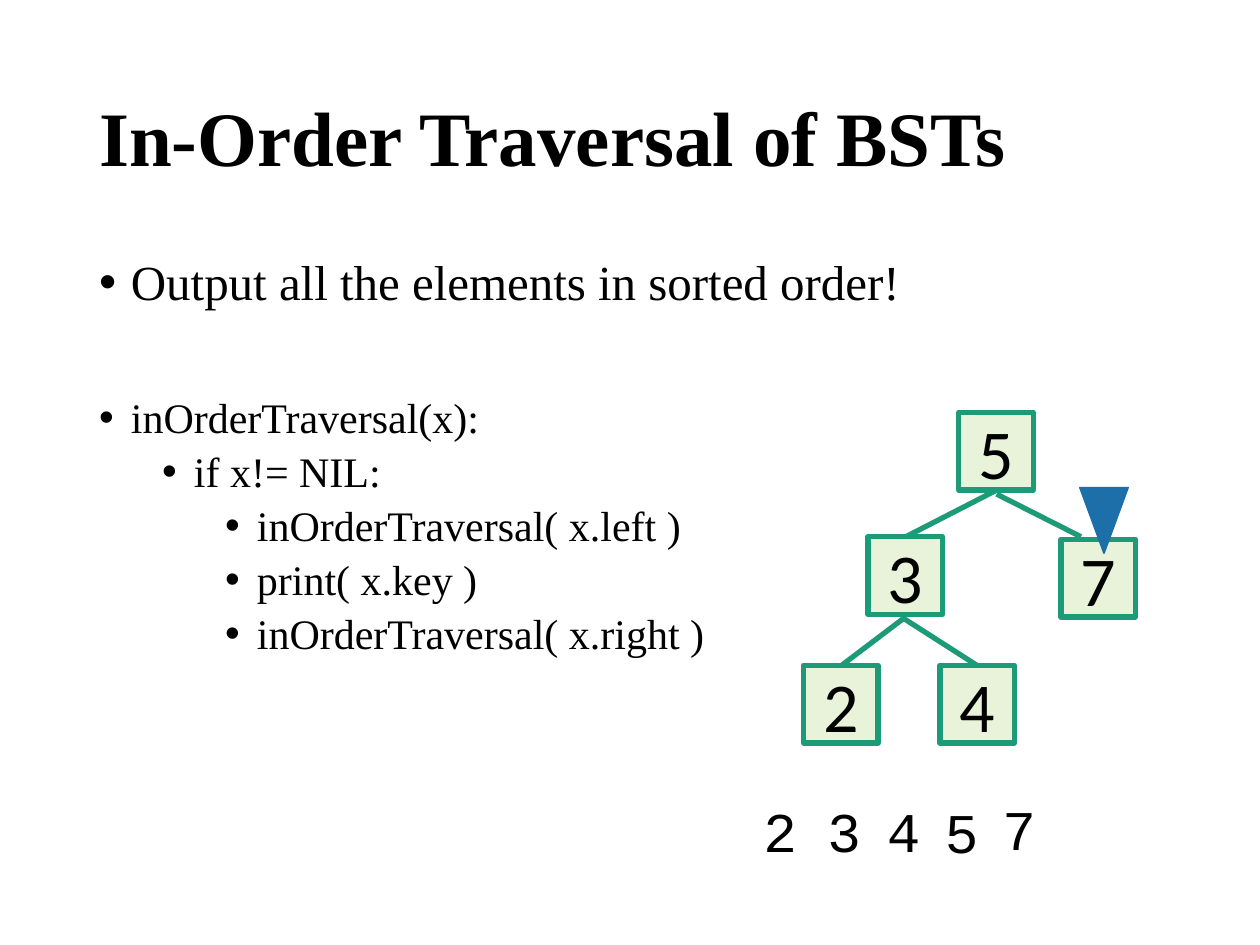
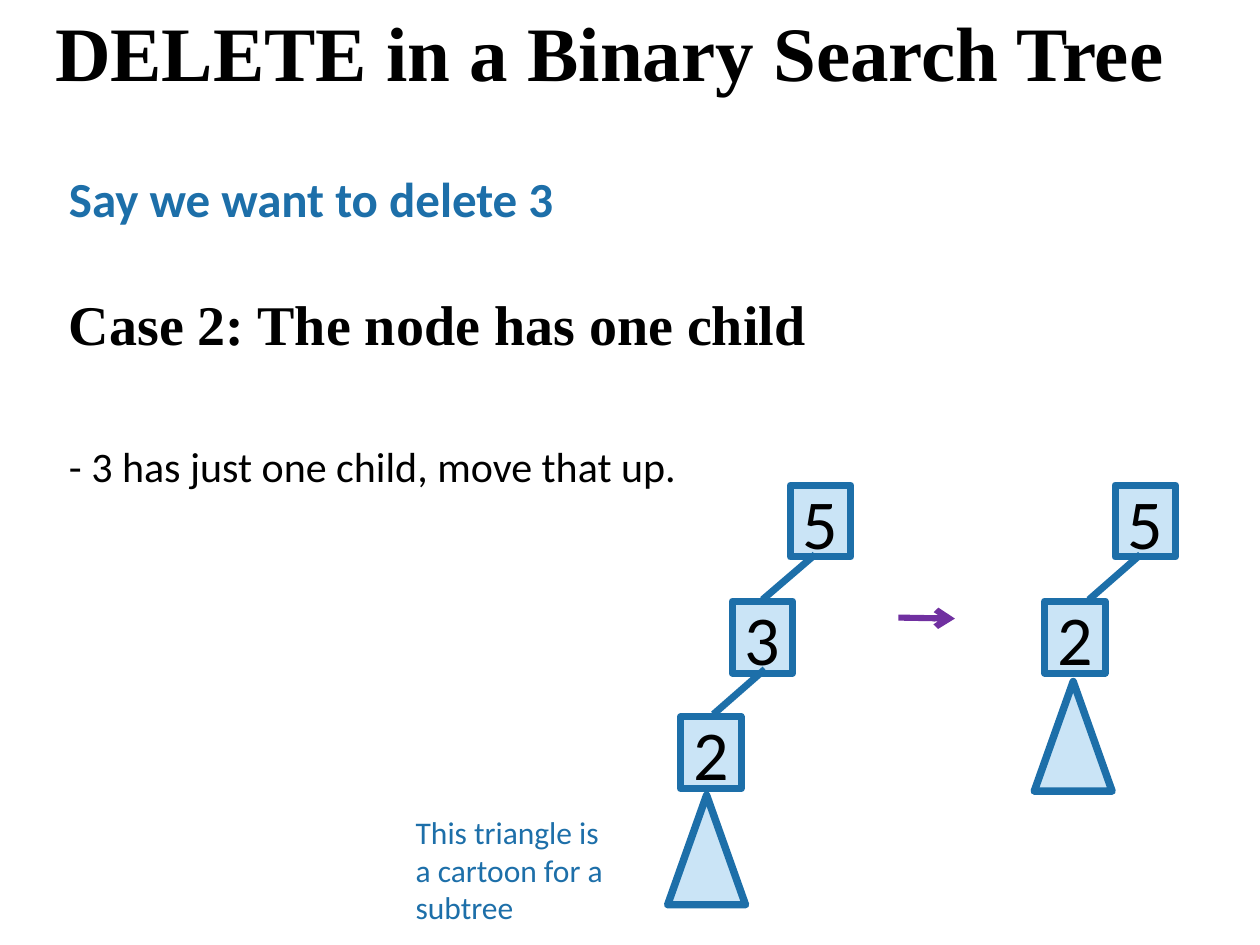
from lxml.etree import SubElement
from pptx import Presentation
from pptx.dml.color import RGBColor
from pptx.enum.shapes import MSO_CONNECTOR as Link, MSO_SHAPE as Shape
from pptx.enum.text import MSO_ANCHOR as Anchor, PP_ALIGN as Align
from pptx.oxml.ns import qn
from pptx.util import Cm, Pt

SERIF, SANS, MONO = "Times New Roman", "Calibri", "Courier New"
BLACK, BLUE, PALE_BLUE = "000000", "1D6FA9", "CAE4F6"
GREEN, PALE_GREEN, PURPLE = "1D9A78", "E8F3DA", "7030A0"
rgb = RGBColor.from_string


def write(frame, text, size=24, font=SERIF, color=BLACK, bold=False, align=Align.LEFT,
          spacing=None, before=0, bullet_level=None, anchor=Anchor.TOP):
    frame.word_wrap = True
    frame.vertical_anchor = anchor
    paragraph = frame.paragraphs[0] if not frame.text else frame.add_paragraph()
    paragraph.alignment = align
    paragraph.line_spacing = spacing
    paragraph.space_before = Pt(before)
    if bullet_level is not None:
        paragraph.level = bullet_level
        props = paragraph._p.get_or_add_pPr()
        props.set("marL", str(Cm(0.64 + 1.27 * bullet_level)))
        props.set("indent", str(-Cm(0.64)))
        SubElement(props, qn("a:buFont"), typeface="Arial")
        SubElement(props, qn("a:buChar"), char="•")
    run = paragraph.add_run()
    run.text = text
    run.font.size = Pt(size)
    run.font.name = font
    run.font.bold = bold
    run.font.color.rgb = rgb(color)


def connect(slide, ends, color, width):
    edge = slide.shapes.add_connector(Link.STRAIGHT, *map(Cm, ends))
    edge.line.color.rgb = rgb(color)
    edge.line.width = Pt(width)
    SubElement(edge._element.spPr, qn("a:effectLst"))
    return edge


deck = Presentation()
deck.slide_width, deck.slide_height = Cm(25.4), Cm(19.05)
traversal, deletion = [deck.slides.add_slide(deck.slide_layouts[6]) for _ in range(2)]

for slide, heading, place in [
    (traversal, "In-Order Traversal of BSTs", (1.75, 1.02, 21.89, 3.68)),
    (deletion, "DELETE in a Binary Search Tree", (0.86, 0.08, 23.75, 2.11)),
]:
    title = slide.shapes.add_textbox(*map(Cm, place))
    write(title.text_frame, heading, size=44, bold=True, spacing=0.9, anchor=Anchor.MIDDLE)

algorithm = traversal.shapes.add_textbox(Cm(1.75), Cm(5.08), Cm(21.89), Cm(12.09))
for text, level, size, before in [
    ("Output all the elements in sorted order!", 0, 28, 0),
    ("inOrderTraversal(x):", 0, 24, 49),
    ("if x!= NIL:", 1, 24, 5),
    ("inOrderTraversal( x.left )", 2, 24, 5),
    ("print( x.key )", 2, 24, 5),
    ("inOrderTraversal( x.right )", 2, 24, 5),
]:
    write(algorithm.text_frame, text, size=size, spacing=0.9, before=before, bullet_level=level)

search_tree = [("4", 18.95, 13.41), ("2", 16.2, 13.41), ("7", 21.39, 10.87),
               ("3", 17.5, 10.82), ("5", 19.33, 8.31)]
search_edges = [(20.09, 9.96, 21.79, 10.82), (18.19, 12.45, 19.69, 13.41),
                (20.09, 9.88, 18.26, 10.82), (18.21, 12.47, 16.97, 13.41)]
delete_trees = [("2", 13.72, 14.45), ("3", 14.76, 12.12), ("5", 15.93, 9.78),
                ("2", 21.06, 12.12), ("5", 22.48, 9.78)]
delete_edges = [(15.42, 13.49, 14.38, 14.4), (16.43, 11.18, 15.37, 12.09),
                (22.99, 11.18, 21.95, 12.09)]

for slide, nodes, edges, node_size, fill, border, width in [
    (traversal, search_tree, search_edges, (1.5, 1.57), PALE_GREEN, GREEN, 3),
    (deletion, delete_trees, delete_edges, (1.22, 1.45), PALE_BLUE, BLUE, 4),
]:
    for key, left, top in nodes:
        node = slide.shapes.add_shape(Shape.RECTANGLE, *map(Cm, (left, top, *node_size)))
        node.shadow.inherit = False
        node.fill.solid()
        node.fill.fore_color.rgb = rgb(fill)
        node.line.color.rgb = rgb(border)
        node.line.width = Pt(width)
        node.text_frame.margin_left = node.text_frame.margin_right = 0
        write(node.text_frame, key, size=40, font=SANS, align=Align.CENTER, anchor=Anchor.MIDDLE)
    for ends in edges:
        connect(slide, ends, border, width)

for slide, place, fill, width, turn in [
    (traversal, (21.77, 9.83, 0.97, 1.32), BLUE, 1, 180),
    (deletion, (13.46, 16.03, 1.57, 2.21), PALE_BLUE, 4.25, 0),
    (deletion, (20.85, 13.74, 1.57, 2.21), PALE_BLUE, 4.25, 0),
]:
    triangle = slide.shapes.add_shape(Shape.ISOSCELES_TRIANGLE, *map(Cm, place))
    triangle.shadow.inherit = False
    triangle.rotation = turn
    triangle.fill.solid()
    triangle.fill.fore_color.rgb = rgb(fill)
    triangle.line.color.rgb = rgb(BLUE)
    triangle.line.width = Pt(width)

for key, left, top in [("2", 15.14, 15.93), ("3", 16.43, 15.93), ("4", 17.63, 15.93),
                       ("5", 18.8, 15.95), ("7", 19.96, 15.9)]:
    printed_key = traversal.shapes.add_textbox(Cm(left), Cm(top), Cm(1.09), Cm(1.63))
    write(printed_key.text_frame, key, size=32, font=MONO)

result_arrow = connect(deletion, (18.11, 12.45, 19.25, 12.47), PURPLE, 3.5)
SubElement(result_arrow.line._get_or_add_ln(), qn("a:tailEnd"), type="arrow")

for text, place, style in [
    ("This triangle is a cartoon for a subtree", (8.13, 16.26, 4.62, 2.57),
     dict(size=18, font=SANS, color=BLUE)),
    ("Case 2: The node has one child", (1.14, 5.72, 17.83, 1.63), dict(size=32, bold=True)),
    ("Say we want to delete 3", (1.14, 3.28, 10.97, 1.45),
     dict(size=28, font=SANS, color=BLUE, bold=True)),
    ("- 3 has just one child, move that up.", (1.14, 8.76, 12.93, 1.27), dict(font=SANS)),
]:
    remark = deletion.shapes.add_textbox(*map(Cm, place))
    write(remark.text_frame, text, **style)

deck.save("out.pptx")
